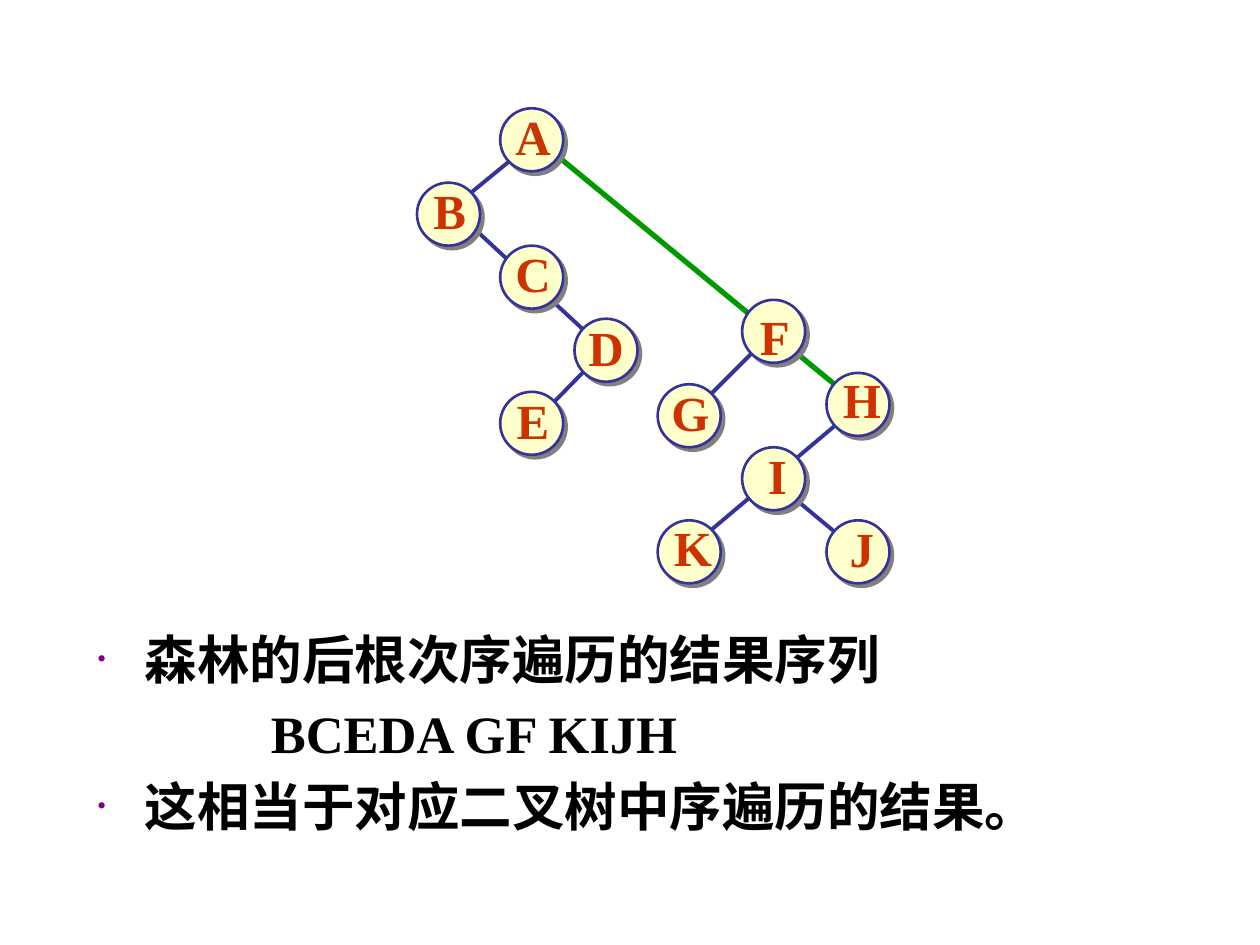
from lxml.etree import SubElement
from pptx import Presentation
from pptx.dml.color import RGBColor
from pptx.enum.shapes import MSO_CONNECTOR, MSO_SHAPE
from pptx.enum.text import MSO_ANCHOR, MSO_AUTO_SIZE, PP_ALIGN
from pptx.oxml.ns import qn
from pptx.util import Inches, Pt

COLORS = {"node": "FFFFCC", "branch": "333399", "root_link": "009900",
          "letter": "CC3300", "shadow": "808080", "bullet": "800080", "text": "000000"}
FONT = "Times New Roman"
NODE_SIZE = 0.5
LABEL_HEIGHT = 0.57

# Letter: circle left and top, label width, label shift from the circle's centre
NODES = {
    "A": (3.97, 0.86, 0.48, 0.01, -0.03),
    "B": (3.31, 1.45, 0.46, 0.01, -0.03),
    "C": (3.97, 1.95, 0.48, 0.01, -0.03),
    "D": (4.56, 2.53, 0.48, 0, -0.03),
    "E": (3.97, 3.11, 0.46, 0.01, -0.03),
    "F": (5.89, 2.38, 0.44, 0.01, 0.04),
    "G": (5.22, 3.05, 0.50, 0.01, -0.03),
    "H": (6.56, 2.96, 0.50, 0.03, -0.04),
    "I": (5.89, 3.55, 0.35, 0.03, -0.03),
    "J": (6.56, 4.13, 0.40, 0.03, -0.03),
    "K": (5.22, 4.13, 0.50, 0.03, -0.04),
}
# Start x, y, end x, y, colour, width in points
EDGES = [
    (4.39, 1.21, 6.72, 3.13, "root_link", 3),   # A-F-H
    (4.72, 2.86, 4.31, 3.28, "branch", 2.25),   # D-E
    (3.64, 1.70, 4.72, 2.70, "branch", 2.25),   # B-C-D
    (4.14, 1.20, 3.64, 1.61, "branch", 2.25),   # A-B
    (6.31, 3.96, 6.72, 4.30, "branch", 2.25),   # I-J
    (6.72, 3.30, 5.64, 4.21, "branch", 2.25),   # H-I-K
    (6.06, 2.71, 5.56, 3.21, "branch", 2.25),   # F-G
]
# Text, bulleted
NOTES = [
    ("森林的后根次序遍历的结果序列", True),
    ("BCEDA GF KIJH", False),
    ("这相当于对应二叉树中序遍历的结果。", True),
]


def rgb(name):
    return RGBColor.from_string(COLORS[name])


def set_font(paragraph, size, color):
    font = paragraph.font
    font.name, font.size, font.bold = FONT, Pt(size), True
    font.color.rgb = rgb(color)


def add_edge(slide, x1, y1, x2, y2, color, width):
    edge = slide.shapes.add_connector(
        MSO_CONNECTOR.STRAIGHT, Inches(x1), Inches(y1), Inches(x2), Inches(y2))
    edge.line.color.rgb = rgb(color)
    edge.line.width = Pt(width)
    SubElement(edge._element.spPr, qn("a:effectLst"))


def add_node(slide, left, top):
    node = slide.shapes.add_shape(MSO_SHAPE.OVAL, Inches(left), Inches(top),
                                  Inches(NODE_SIZE), Inches(NODE_SIZE))
    node.fill.solid()
    node.fill.fore_color.rgb = rgb("node")
    node.line.color.rgb = rgb("branch")
    node.line.width = Pt(1.5)
    # Hard grey shadow, down and to the right
    node.shadow.inherit = False
    effects = node._element.spPr.find(qn("a:effectLst"))
    shadow = SubElement(effects, qn("a:outerShdw"), blurRad="0", dist=str(Pt(2.8)),
                        dir="2700000", algn="ctr", rotWithShape="0")
    SubElement(shadow, qn("a:srgbClr"), val=COLORS["shadow"])


def add_label(slide, letter, left, top, width, dx, dy):
    x = left + (NODE_SIZE - width) / 2 + dx
    y = top + (NODE_SIZE - LABEL_HEIGHT) / 2 + dy
    frame = slide.shapes.add_textbox(
        Inches(x), Inches(y), Inches(width), Inches(LABEL_HEIGHT)).text_frame
    frame.word_wrap = False
    frame.auto_size = MSO_AUTO_SIZE.SHAPE_TO_FIT_TEXT
    frame.vertical_anchor = MSO_ANCHOR.MIDDLE
    paragraph = frame.paragraphs[0]
    paragraph.text = letter
    paragraph.alignment = PP_ALIGN.CENTER
    set_font(paragraph, 28, "letter")


def format_bullet(paragraph, bulleted):
    props = paragraph._p.get_or_add_pPr()
    margin, indent = (0.38, -0.38) if bulleted else (1.38, 0)
    props.set("marL", str(Inches(margin)))
    props.set("indent", str(Inches(indent)))
    if bulleted:
        color = SubElement(props, qn("a:buClr"))
        SubElement(color, qn("a:srgbClr"), val=COLORS["bullet"])
        SubElement(props, qn("a:buSzPct"), val="50000")
        SubElement(props, qn("a:buFont"), typeface=FONT)
        SubElement(props, qn("a:buChar"), char="•")
    else:
        SubElement(props, qn("a:buNone"))


def fill_notes(body):
    body.left, body.top = Inches(0.67), Inches(4.93)
    body.width, body.height = Inches(9), Inches(2.05)
    frame = body.text_frame
    frame.word_wrap = True
    frame.auto_size = MSO_AUTO_SIZE.NONE
    frame.vertical_anchor = MSO_ANCHOR.TOP
    for i, (text, bulleted) in enumerate(NOTES):
        paragraph = frame.add_paragraph() if i else frame.paragraphs[0]
        paragraph.text = text
        format_bullet(paragraph, bulleted)
        paragraph.space_before = Pt(6 if i else 0)
        set_font(paragraph, 30, "text")


def main():
    prs = Presentation()
    prs.slide_width, prs.slide_height = Inches(10), Inches(7.5)
    slide = prs.slides.add_slide(prs.slide_layouts.get_by_name("Title and Content"))
    title = slide.shapes.title._element
    title.getparent().remove(title)

    # Tree: lines below, circles above them, letters on top
    for edge in EDGES:
        add_edge(slide, *edge)
    for left, top, *_ in NODES.values():
        add_node(slide, left, top)
    for letter, place in NODES.items():
        add_label(slide, letter, *place)

    # Traversal result
    fill_notes(slide.placeholders[1])
    prs.save("out.pptx")


if __name__ == "__main__":
    main()
